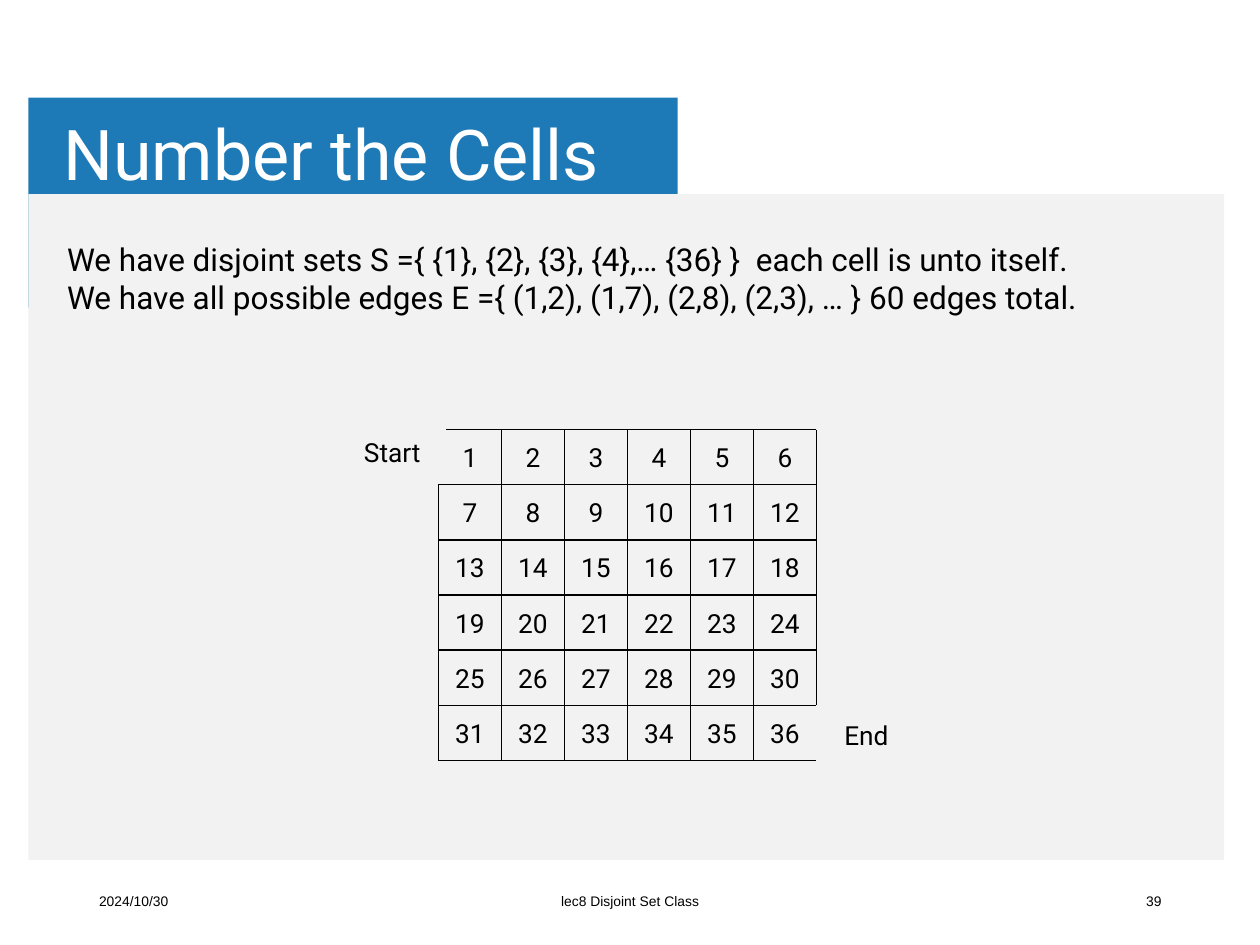
from dataclasses import dataclass

from lxml import etree
from pptx import Presentation
from pptx.dml.color import RGBColor
from pptx.enum.shapes import MSO_CONNECTOR, MSO_SHAPE
from pptx.enum.text import MSO_ANCHOR, MSO_AUTO_SIZE, PP_ALIGN
from pptx.oxml.ns import qn
from pptx.util import Pt

LEFT, CENTER, RIGHT = PP_ALIGN.LEFT, PP_ALIGN.CENTER, PP_ALIGN.RIGHT
TOP, MIDDLE = MSO_ANCHOR.TOP, MSO_ANCHOR.MIDDLE
FIT_SHAPE = MSO_AUTO_SIZE.SHAPE_TO_FIT_TEXT
RECTANGLE = MSO_SHAPE.RECTANGLE
STRAIGHT = MSO_CONNECTOR.STRAIGHT

BLACK, WHITE, BLUE, GREY = "000000", "FFFFFF", "1E7AB6", "F2F2F2"

# Maze grid, in points
GRID_SIZE = 6
GRID_LEFT, GRID_TOP = 250.5, 245.5
CELL_WIDTH, CELL_HEIGHT = 36, 31.5
GRID_RIGHT = GRID_LEFT + GRID_SIZE * CELL_WIDTH
GRID_BOTTOM = GRID_TOP + GRID_SIZE * CELL_HEIGHT
NUMBER_INSET = 4.5
ENTRANCE_SHIFT = 4.5


@dataclass
class Panel:
    left: float
    top: float
    width: float
    height: float
    color: str


@dataclass
class Label:
    lines: list[str]
    left: float
    top: float
    width: float
    height: float
    size: float
    font: str = "Roboto"
    color: str = BLACK
    align: PP_ALIGN = LEFT
    anchor: MSO_ANCHOR = MIDDLE
    wrap: bool = True
    fit: bool = False
    margins: tuple[float, float] = (7.2, 3.6)
    line_spacing: float | None = None


PANELS = [
    Panel(16.3, 55.8, 371, 120, BLUE),
    Panel(16.3, 111, 683.2, 380.4, GREY),
]

FOOTER = {"top": 500.4, "height": 28.8, "size": 7.9, "font": "Arial"}

LABELS = [
    Label(["Number the Cells"], 31.2, 54.7, 578, 70.6, 40, color=WHITE,
          margins=(5, 2.9), line_spacing=0.9),
    Label(["2024/10/30"], left=49.5, width=162, **FOOTER),
    Label(["lec8 Disjoint Set Class"], left=238.3, width=243.4, align=CENTER, **FOOTER),
    Label(["39"], left=508.8, width=162, align=RIGHT, **FOOTER),
    Label(["We have disjoint sets S ={ {1}, {2}, {3}, {4},… {36} }  each cell is unto itself.",
           "We have all possible edges E ={ (1,2), (1,7), (2,8), (2,3), … } 60 edges total."],
          31.2, 133.7, 654.5, 83.5, 18, anchor=TOP),
    Label(["Start"], 200.9, 245.5, 49, 25.2, 15, anchor=TOP, wrap=False, fit=True),
    Label(["End"], 475.4, 407.5, 41.8, 25.2, 15, anchor=TOP, wrap=False, fit=True),
]


def rgb(color: str) -> RGBColor:
    return RGBColor.from_string(color)


def draw_panel(page, panel: Panel) -> None:
    shape = page.shapes.add_shape(
        RECTANGLE, Pt(panel.left), Pt(panel.top), Pt(panel.width), Pt(panel.height))
    shape.shadow.inherit = False
    shape.fill.solid()
    shape.fill.fore_color.rgb = rgb(panel.color)
    shape.line.fill.background()


def draw_label(page, label: Label) -> None:
    box = page.shapes.add_textbox(
        Pt(label.left), Pt(label.top), Pt(label.width), Pt(label.height))
    frame = box.text_frame
    frame.word_wrap = label.wrap
    frame.vertical_anchor = label.anchor
    if label.fit:
        frame.auto_size = FIT_SHAPE
    side, edge = label.margins
    frame.margin_left = frame.margin_right = Pt(side)
    frame.margin_top = frame.margin_bottom = Pt(edge)
    frame.text = "\n".join(label.lines)
    for paragraph in frame.paragraphs:
        paragraph.alignment = label.align
        paragraph.line_spacing = label.line_spacing
        paragraph.font.name = label.font
        paragraph.font.size = Pt(label.size)
        paragraph.font.color.rgb = rgb(label.color)


def draw_wall(page, x1: float, y1: float, x2: float, y2: float) -> None:
    wall = page.shapes.add_connector(STRAIGHT, Pt(x1), Pt(y1), Pt(x2), Pt(y2))
    wall.line.color.rgb = rgb(BLACK)
    wall.line.width = Pt(0.75)
    etree.SubElement(wall._element.spPr, qn("a:effectLst"))


def draw_cell(page, row: int, column: int) -> None:
    """Draw a cell's top and right walls and its number."""
    last = GRID_SIZE - 1
    left = GRID_LEFT + column * CELL_WIDTH
    top = GRID_TOP + row * CELL_HEIGHT
    right = left + CELL_WIDTH
    shift = ENTRANCE_SHIFT if row == column == 0 else 0
    draw_wall(page, left + shift, top, right + shift, top)
    if (row, column) != (last, last):  # the exit stays open
        draw_wall(page, right, top, right, top + CELL_HEIGHT)
    number = row * GRID_SIZE + column + 1
    draw_label(page, Label(
        [str(number)], left + NUMBER_INSET, top + NUMBER_INSET,
        CELL_WIDTH - 2 * NUMBER_INSET, CELL_HEIGHT - 2 * NUMBER_INSET,
        15, align=CENTER, wrap=False, margins=(0, 0)))


def main() -> None:
    deck = Presentation()
    deck.slide_width, deck.slide_height = Pt(720), Pt(540)
    page = deck.slides.add_slide(deck.slide_layouts[6])

    # Background panels, title, body, footer and maze captions
    for panel in PANELS:
        draw_panel(page, panel)
    for label in LABELS:
        draw_label(page, label)

    # Maze cells
    for row in range(GRID_SIZE):
        for column in range(GRID_SIZE):
            draw_cell(page, row, column)

    # Outer walls: left side below the entrance, and the bottom up to and below the exit
    exit_left = GRID_RIGHT - CELL_WIDTH
    draw_wall(page, GRID_LEFT, GRID_BOTTOM, GRID_LEFT, GRID_TOP + CELL_HEIGHT)
    draw_wall(page, exit_left, GRID_BOTTOM, GRID_LEFT, GRID_BOTTOM)
    draw_wall(page, exit_left, GRID_BOTTOM, GRID_RIGHT, GRID_BOTTOM)

    deck.save("out.pptx")


if __name__ == "__main__":
    main()
